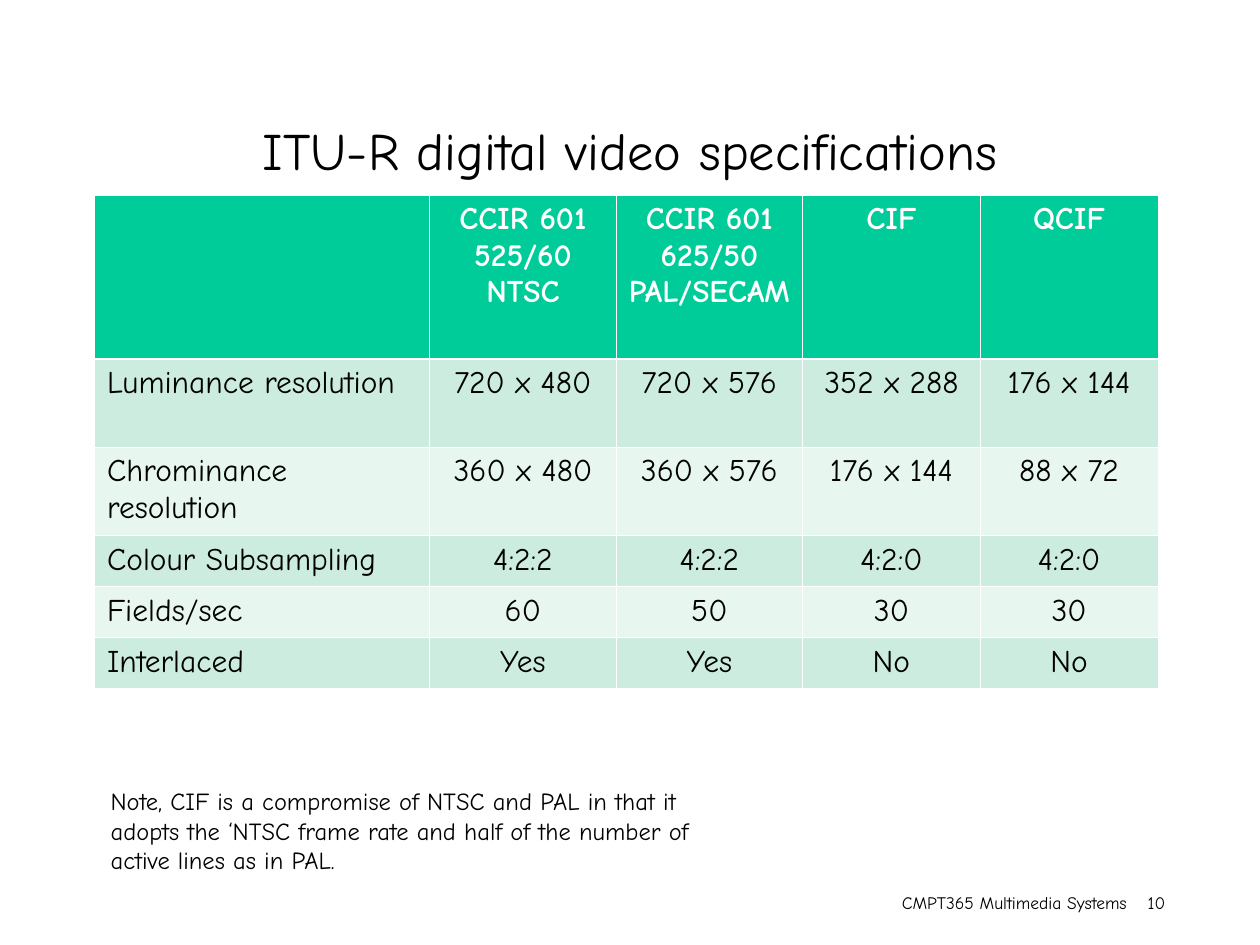
from lxml import etree
from pptx import Presentation
from pptx.dml.color import RGBColor
from pptx.enum.text import MSO_ANCHOR, PP_ALIGN
from pptx.oxml import parse_xml
from pptx.oxml.ns import nsdecls, qn
from pptx.util import Inches, Pt

FONT = "Comic Neue"
BLACK = RGBColor(0x00, 0x00, 0x00)
WHITE = RGBColor(0xFF, 0xFF, 0xFF)
GREEN = RGBColor(0x00, 0xCC, 0x99)
BANDS = [RGBColor(0xE7, 0xF6, 0xEF), RGBColor(0xCB, 0xEC, 0xDE)]

prs = Presentation()
prs.slide_width, prs.slide_height = Inches(10), Inches(7.5)
s = prs.slides.add_slide(prs.slide_layouts[5])

# Grid of 100 columns by 75 rows
COL, ROW = prs.slide_width / 100, prs.slide_height / 75


def grid(left, top, width, height):
    return int(left * COL), int(top * ROW), int(width * COL), int(height * ROW)


def style(p, size, color=BLACK, bold=False, align=PP_ALIGN.LEFT):
    p.alignment = align
    f = p.font
    f.name, f.size, f.bold, f.color.rgb = FONT, Pt(size), bold, color


# Title
title = s.shapes.title
title.left, title.top, title.width, title.height = grid(5, 8.9, 90, 6)
tf = title.text_frame
tf.text = "ITU-R digital video specifications"
tf.vertical_anchor = MSO_ANCHOR.MIDDLE
style(tf.paragraphs[0], 30, align=PP_ALIGN.CENTER)

# Specification table
rows = [
    ["", "CCIR 601\n525/60\nNTSC", "CCIR 601\n625/50\nPAL/SECAM", "CIF", "QCIF"],
    ["Luminance resolution", "720 x 480", "720 x 576", "352 x 288", "176 x 144"],
    ["Chrominance resolution", "360 x 480", "360 x 576", "176 x 144", "88 x 72"],
    ["Colour Subsampling", "4:2:2", "4:2:2", "4:2:0", "4:2:0"],
    ["Fields/sec", "60", "50", "30", "30"],
    ["Interlaced", "Yes", "Yes", "No", "No"],
]
widths = [26.6, 14.8, 14.8, 14.1, 14.1]
heights = [13, 7, 7, 4.05, 4.05, 4.05]
table = s.shapes.add_table(
    len(rows), len(widths), *grid(7.5, 15.5, sum(widths), sum(heights))).table
for column, width in zip(table.columns, widths):
    column.width = int(width * COL)
for row, height in zip(table.rows, heights):
    row.height = int(height * ROW)

for i, row in enumerate(rows):
    for j, text in enumerate(row):
        cell = table.cell(i, j)
        cell.text = text
        for p in cell.text_frame.paragraphs:
            style(p, 18, BLACK if i else WHITE, i == 0,
                  PP_ALIGN.CENTER if j else PP_ALIGN.LEFT)
        cell.fill.solid()
        cell.fill.fore_color.rgb = BANDS[i % 2] if i else GREEN
        # White borders, heavier under the header
        heavy = {0: "lnB", 1: "lnT"}.get(i)
        for k, side in enumerate(["lnL", "lnR", "lnT", "lnB"]):
            width = Pt(1.47 if side == heavy else 0.45)
            ln = parse_xml(f'<a:{side} {nsdecls("a")} w="{width}"><a:solidFill>'
                           f'<a:srgbClr val="{WHITE}"/></a:solidFill></a:{side}>')
            cell._tc.get_or_add_tcPr().insert(k, ln)

# Note
tf = s.shapes.add_textbox(*grid(7.8, 61.9, 50, 8)).text_frame
tf.word_wrap = True
tf.text = ("Note, CIF is a compromise of NTSC and PAL in that it adopts the "
           "‘NTSC frame rate and half of the number of active lines as in PAL.")
style(tf.paragraphs[0], 14)

# Footer with the page number at a tab stop
tf = s.shapes.add_textbox(*grid(70.6, 70.3, 27.9, 2.7)).text_frame
tf.word_wrap = True
p = tf.paragraphs[0]
p.text = "CMPT365 Multimedia Systems\t10"
tabs = etree.SubElement(p._p.get_or_add_pPr(), qn("a:tabLst"))
etree.SubElement(tabs, qn("a:tab"), pos=str(int(19.5 * COL)), algn="l")
style(p, 10)

prs.save("out.pptx")
